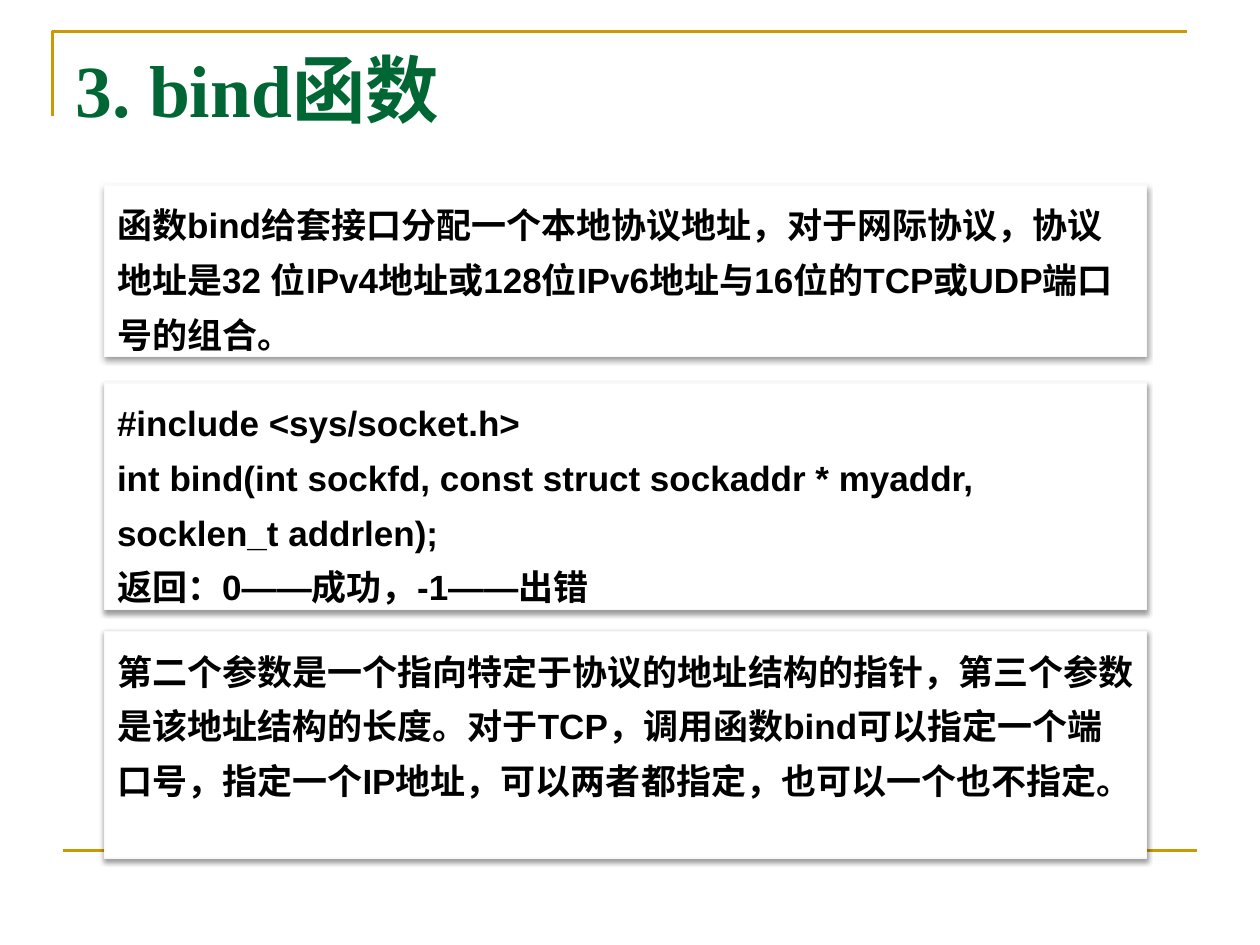
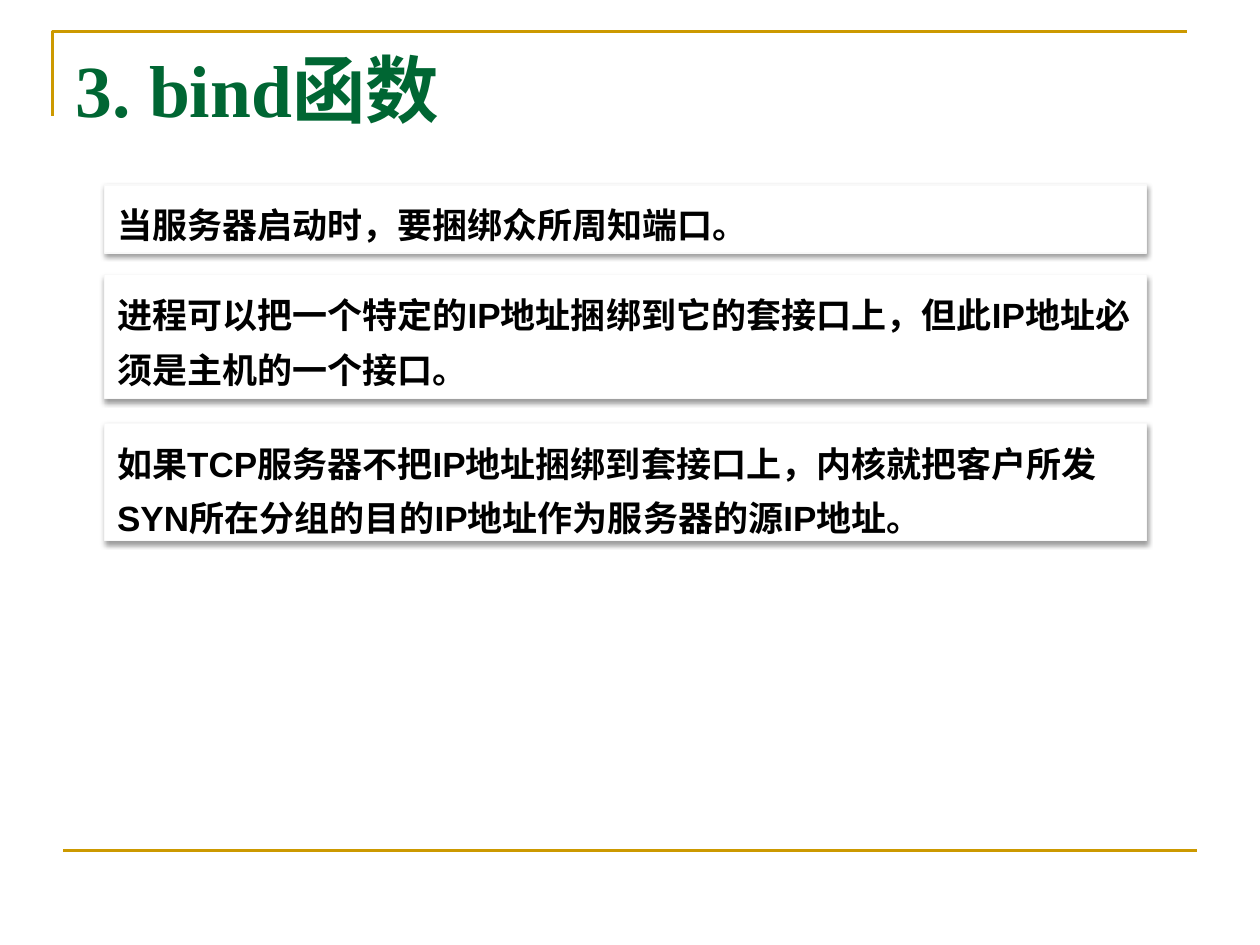
"""Build two slides that explain the bind function."""
from lxml import etree
from pptx import Presentation
from pptx.dml.color import RGBColor
from pptx.enum.shapes import MSO_CONNECTOR, MSO_SHAPE
from pptx.enum.text import MSO_ANCHOR, MSO_AUTO_SIZE, PP_ALIGN
from pptx.oxml.ns import qn
from pptx.util import Pt

TITLE = "3. bind函数"
PANELS_BY_SLIDE = [
    [
        (105.8, 98, ["函数bind给套接口分配一个本地协议地址，对于网际协议，协议地址是32 位IPv4地址"
                     "或128位IPv6地址与16位的TCP或UDP端口号的组合。"]),
        (218.9, 129.6, ["#include <sys/socket.h>",
                        "int bind(int sockfd, const struct sockaddr * myaddr, socklen_t addrlen);",
                        "返回：0——成功，-1——出错"]),
        (360.7, 129.6, ["第二个参数是一个指向特定于协议的地址结构的指针，第三个参数是该地址结构的长度。"
                        "对于TCP，调用函数bind可以指定一个端口号，指定一个IP地址，"
                        "可以两者都指定，也可以一个也不指定。"]),
    ],
    [
        (105.8, 38.9, ["当服务器启动时，要捆绑众所周知端口。"]),
        (157, 70.6, ["进程可以把一个特定的IP地址捆绑到它的套接口上，但此IP地址必须是主机的一个接口。"]),
        (241.9, 67, ["如果TCP服务器不把IP地址捆绑到套接口上，内核就把客户所发SYN所在分组的"
                     "目的IP地址作为服务器的源IP地址。"]),
    ],
]

GOLD = RGBColor(0xCC, 0x99, 0x00)
GREEN = RGBColor(0x00, 0x66, 0x33)
BLACK = RGBColor(0x00, 0x00, 0x00)
WHITE = RGBColor(0xFF, 0xFF, 0xFF)
PALE = RGBColor(0xF9, 0xF9, 0xF9)

STRAIGHT = MSO_CONNECTOR.STRAIGHT
RECTANGLE = MSO_SHAPE.RECTANGLE
TOP = MSO_ANCHOR.TOP
LEFT = PP_ALIGN.LEFT
NO_FIT = MSO_AUTO_SIZE.NONE
GROW = MSO_AUTO_SIZE.SHAPE_TO_FIT_TEXT

TITLE_ONLY = 5
PANEL_LEFT, PANEL_WIDTH = 59.8, 595.4
CORNER = [(30.2, 66.2), (30.2, 18), (678.2, 18)]
FOOT_LEFT, FOOT_RIGHT, FOOT_Y = 36, 684, 486
TITLE_PLACE = {"left": Pt(36), "top": Pt(21.6), "width": Pt(596.2), "height": Pt(90)}
TITLE_FONT = {"name": "Times New Roman", "size": Pt(42), "bold": True}
PANEL_FONT = {"name": "Arial", "size": Pt(20), "bold": True}
SHADOW = {"blurRad": Pt(3.1), "dist": Pt(1.6), "dir": 90 * 60000, "rotWithShape": 0}
SHADOW_ALPHA = 38000


def apply(target, values):
    """Set each named attribute of the target."""
    for name, value in values.items():
        setattr(target, name, value)


def style_text(paragraph, text, font, color):
    """Write left-aligned text in the given font and colour."""
    paragraph.text = text
    paragraph.alignment = LEFT
    apply(paragraph.font, font)
    paragraph.font.color.rgb = color


def style_line(line, color, width):
    """Give a line its colour and width."""
    line.color.rgb = color
    line.width = Pt(width)


def add_frame(slide):
    """Draw the gold corner and the gold foot rule."""
    builder = slide.shapes.build_freeform(*map(Pt, CORNER[0]))
    builder.add_line_segments([(Pt(x), Pt(y)) for x, y in CORNER[1:]], close=False)
    corner = builder.convert_to_shape()
    corner.fill.background()
    corner.shadow.inherit = False
    foot = slide.shapes.add_connector(
        STRAIGHT, Pt(FOOT_LEFT), Pt(FOOT_Y), Pt(FOOT_RIGHT), Pt(FOOT_Y))
    for rule in (corner, foot):
        style_line(rule.line, GOLD, 1.5)
    etree.SubElement(foot._element.spPr, qn("a:effectLst"))


def add_title(slide):
    """Place and format the title placeholder."""
    title = slide.shapes.title
    apply(title, TITLE_PLACE)
    apply(title.text_frame, {"vertical_anchor": TOP, "auto_size": NO_FIT, "word_wrap": True})
    style_text(title.text_frame.paragraphs[0], TITLE, TITLE_FONT, GREEN)


def add_shadow(shape):
    """Put a soft shadow below the shape."""
    shape.shadow.inherit = False
    effects = shape._element.spPr.find(qn("a:effectLst"))
    outer = etree.SubElement(effects, qn("a:outerShdw"))
    for name, value in SHADOW.items():
        outer.set(name, str(int(value)))
    color = etree.SubElement(outer, qn("a:srgbClr"), val=str(BLACK))
    etree.SubElement(color, qn("a:alpha"), val=str(SHADOW_ALPHA))


def add_panel(slide, top, height, lines):
    """Add a white shadowed panel with one paragraph per line."""
    panel = slide.shapes.add_shape(
        RECTANGLE, Pt(PANEL_LEFT), Pt(top), Pt(PANEL_WIDTH), Pt(height))
    panel.fill.solid()
    panel.fill.fore_color.rgb = WHITE
    style_line(panel.line, PALE, 0.75)
    add_shadow(panel)
    frame = panel.text_frame
    apply(frame, {"vertical_anchor": TOP, "word_wrap": True, "auto_size": GROW})
    for index, line in enumerate(lines):
        paragraph = frame.add_paragraph() if index else frame.paragraphs[0]
        style_text(paragraph, line, PANEL_FONT, BLACK)
        paragraph.line_spacing = 1.3


def main():
    """Build and save the presentation."""
    deck = Presentation()
    apply(deck, {"slide_width": Pt(720), "slide_height": Pt(540)})
    for panels in PANELS_BY_SLIDE:
        slide = deck.slides.add_slide(deck.slide_layouts[TITLE_ONLY])
        add_frame(slide)
        add_title(slide)
        for panel in panels:
            add_panel(slide, *panel)
    deck.save("out.pptx")


if __name__ == "__main__":
    main()
